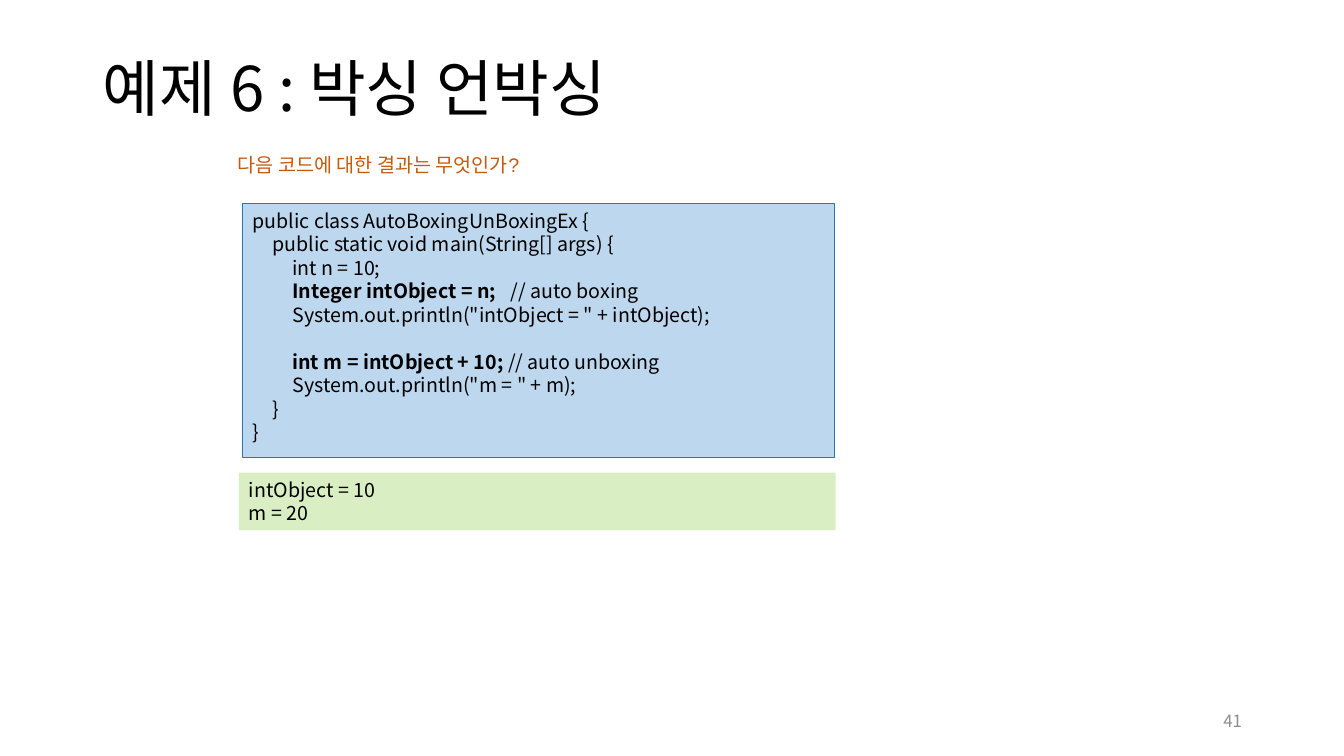
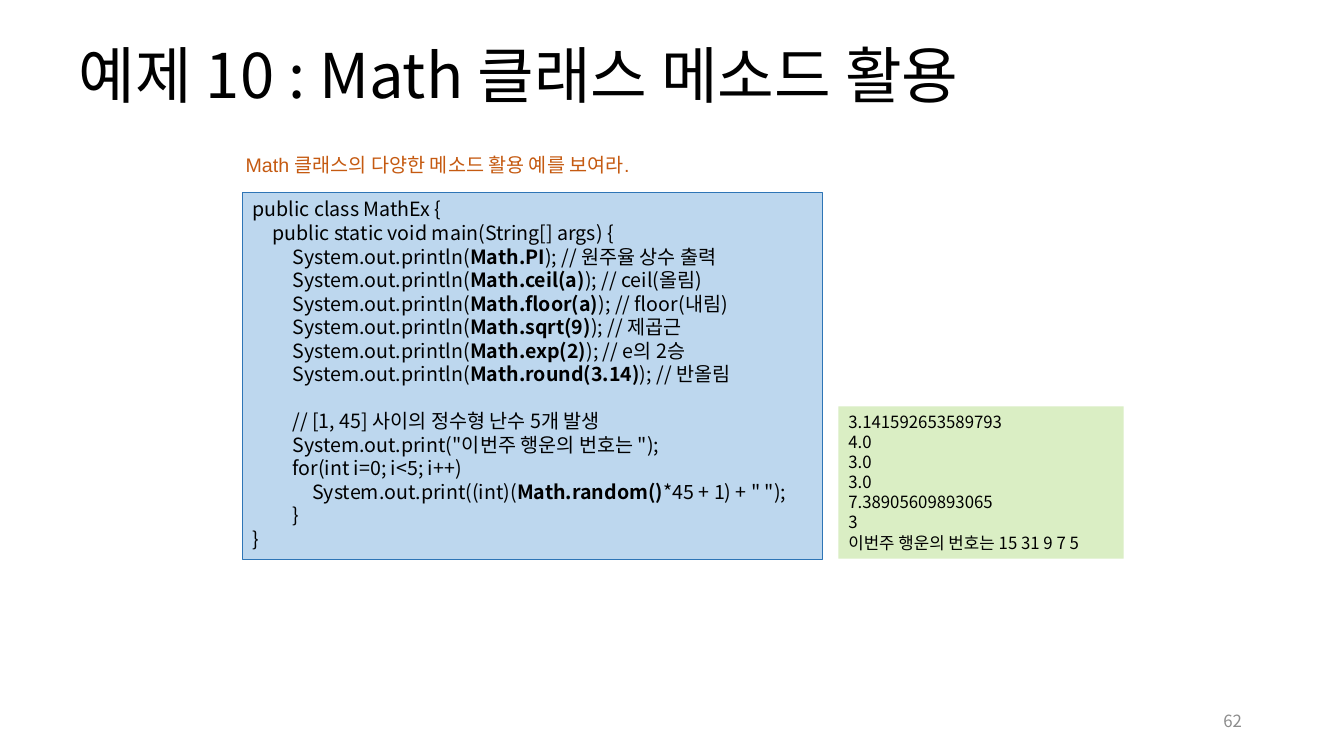
"""Builds two Java example slides, each with code and its output."""
from lxml.etree import SubElement
from pptx import Presentation
from pptx.dml.color import RGBColor
from pptx.enum.shapes import MSO_SHAPE as Shape
from pptx.enum.text import MSO_ANCHOR as Anchor, PP_ALIGN as Align
from pptx.oxml.ns import qn
from pptx.util import Cm, Pt

FONT = "Noto Sans CJK KR"
BLACK, ORANGE, GREY = "000000", "C55A11", "8C8C8C"
CODE_FILL, CODE_LINE, OUTPUT_FILL = "BDD7EE", "2E75B6", "DAEEC4"
TAB_STEP, TAB_COUNT = 0.5, 14
BOLD_MARK = "`"

SLIDES = [
    {
        "title": "예제 6 : 박싱 언박싱",
        "title_at": (2.34, 0.46),
        "question": "다음 코드에 대한 결과는 무엇인가?",
        "question_at": (5.74, 3.73, 8.43, 0.86),
        "code": [
            "public class AutoBoxingUnBoxingEx {",
            "\tpublic static void main(String[] args) {",
            "\t\tint n = 10;",
            "\t\t`Integer intObject = n;` \t// auto boxing",
            '\t\tSystem.out.println("intObject = " + intObject);',
            "",
            "\t\t`int m = intObject + 10;` // auto unboxing",
            '\t\tSystem.out.println("m = " + m);',
            "\t}",
            "}",
        ],
        "code_at": (6.12, 5.13, 14.91, 6.4),
        "output": ["intObject = 10", "m = 20"],
        "output_at": (6.02, 11.91, 15.04, 1.45),
        "output_size": 14,
        "number": "41",
    },
    {
        "title": "예제 10 : Math 클래스 메소드 활용",
        "title_at": (1.73, 0.13),
        "question": "Math 클래스의 다양한 메소드 활용 예를 보여라.",
        "question_at": (5.94, 3.73, 11.33, 0.86),
        "code": [
            "public class MathEx {",
            "\tpublic static void main(String[] args) {",
            "\t\tSystem.out.println(`Math.PI`); // 원주율 상수 출력",
            "\t\tSystem.out.println(`Math.ceil(a)`); // ceil(올림)",
            "\t\tSystem.out.println(`Math.floor(a)`); // floor(내림)",
            "\t\tSystem.out.println(`Math.sqrt(9)`); // 제곱근",
            "\t\tSystem.out.println(`Math.exp(2)`); // e의 2승",
            "\t\tSystem.out.println(`Math.round(3.14)`); // 반올림",
            "",
            "\t\t// [1, 45] 사이의 정수형 난수 5개 발생",
            '\t\tSystem.out.print("이번주 행운의 번호는 ");',
            "\t\tfor(int i=0; i<5; i++)",
            '\t\t\tSystem.out.print((int)(`Math.random()`*45 + 1) + " ");',
            "\t\t}",
            "}",
        ],
        "code_at": (6.12, 4.85, 14.6, 9.25),
        "output": ["3.141592653589793", "4.0", "3.0", "3.0", "7.38905609893065", "3",
                   "이번주 행운의 번호는 15 31 9 7 5"],
        "output_at": (21.13, 10.24, 7.19, 3.84),
        "output_size": 12,
        "number": "62",
    },
]


def color(value):
    """Turns a hex string into a colour."""
    return RGBColor.from_string(value)


def add_span(para, text, size, ink=BLACK, font=FONT, bold=False):
    """Adds one run with its Latin and East Asian fonts."""
    span = para.add_run()
    span.text = text
    span.font.size, span.font.name, span.font.bold = Pt(size), font, bold
    span.font.color.rgb = color(ink)
    SubElement(span.font._element, qn("a:ea"), typeface=FONT)


def add_tabs(para):
    """Sets evenly spaced tab stops on a paragraph."""
    tabs = SubElement(para._p.get_or_add_pPr(), qn("a:tabLst"))
    for step in range(1, TAB_COUNT + 1):
        SubElement(tabs, qn("a:tab"), pos=str(Cm(step * TAB_STEP)), algn="l")


def add_lines(frame, lines, size):
    """Writes code lines; an empty line becomes space before the next one."""
    pitch, gap = Pt(size * 1.2), 0
    para = frame.paragraphs[0]
    for index, line in enumerate(lines):
        if not line:
            gap = pitch
            continue
        if index:
            para = frame.add_paragraph()
        add_tabs(para)
        para.alignment, para.line_spacing = Align.LEFT, pitch
        if gap:
            para.space_before, gap = gap, 0
        for part, text in enumerate(line.split(BOLD_MARK)):
            if text:
                add_span(para, text, size, bold=part % 2 == 1)


def add_panel(page, at, lines, size, fill, line=None):
    """Adds a filled rectangle holding lines of code or output."""
    panel = page.shapes.add_shape(Shape.RECTANGLE, *map(Cm, at))
    panel.shadow.inherit = False
    panel.fill.solid()
    panel.fill.fore_color.rgb = color(fill)
    if line:
        panel.line.color.rgb = color(line)
        panel.line.width = Pt(0.75)
    else:
        panel.line.fill.background()
    panel.text_frame.vertical_anchor = Anchor.TOP
    add_lines(panel.text_frame, lines, size)


def add_label(page, at, text, size, ink, font=FONT, align=Align.LEFT, anchor=Anchor.TOP):
    """Adds a one-line text box."""
    frame = page.shapes.add_textbox(*map(Cm, at)).text_frame
    frame.word_wrap, frame.vertical_anchor = True, anchor
    frame.paragraphs[0].alignment = align
    add_span(frame.paragraphs[0], text, size, ink, font)


def set_title(page, text, left, top):
    """Places and formats the title placeholder."""
    title = page.shapes.title
    title.left, title.top, title.width, title.height = map(Cm, (left, top, 29.21, 3.68))
    title.text_frame.vertical_anchor = Anchor.MIDDLE
    para = title.text_frame.paragraphs[0]
    para.alignment, para.line_spacing = Align.LEFT, 0.9
    add_span(para, text, 44)


def main():
    """Builds and saves the deck."""
    deck = Presentation()
    deck.slide_width, deck.slide_height = Cm(33.87), Cm(19.05)
    for item in SLIDES:
        page = deck.slides.add_slide(deck.slide_layouts[5])
        set_title(page, item["title"], *item["title_at"])
        add_panel(page, item["code_at"], item["code"], 14, CODE_FILL, CODE_LINE)
        add_label(page, item["question_at"], item["question"], 14, ORANGE, "Arial")
        add_panel(page, item["output_at"], item["output"], item["output_size"], OUTPUT_FILL)
        add_label(page, (23.93, 17.65, 7.62, 1.02), item["number"], 12, GREY,
                  align=Align.RIGHT, anchor=Anchor.MIDDLE)
    deck.save("out.pptx")


if __name__ == "__main__":
    main()
